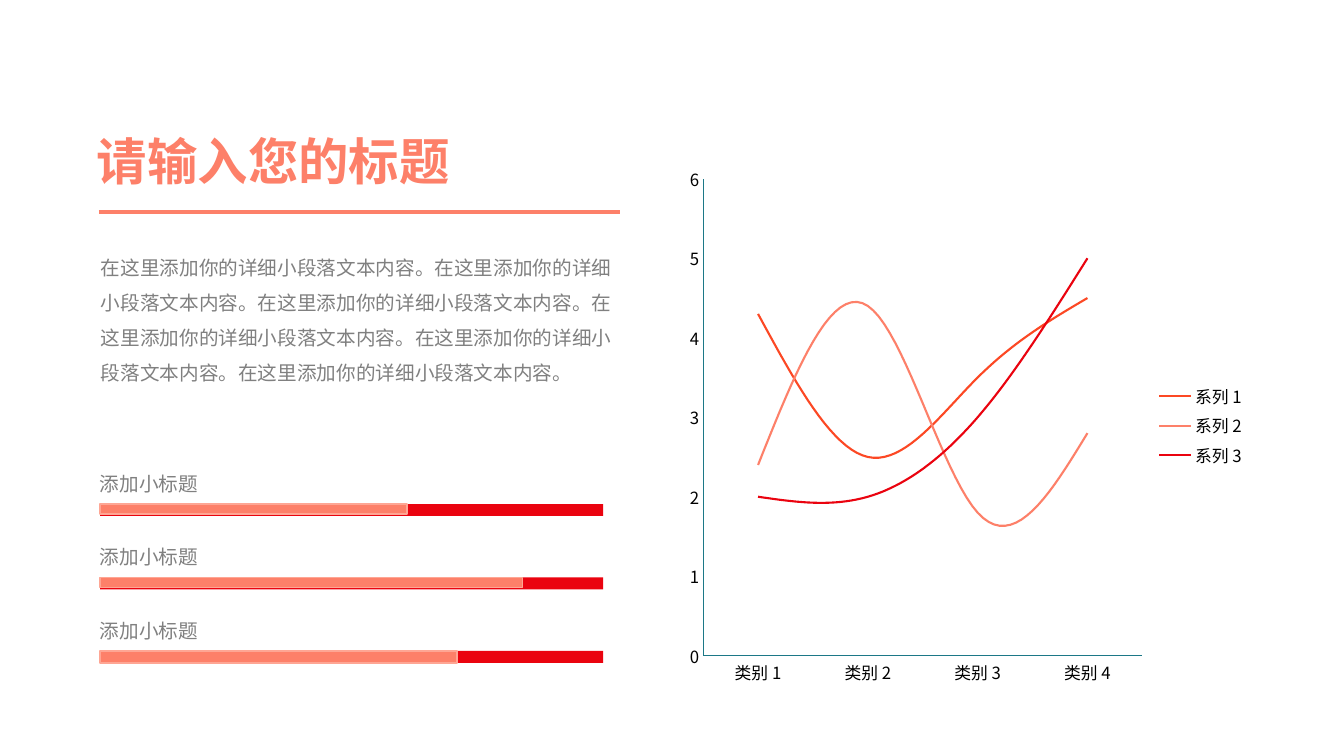
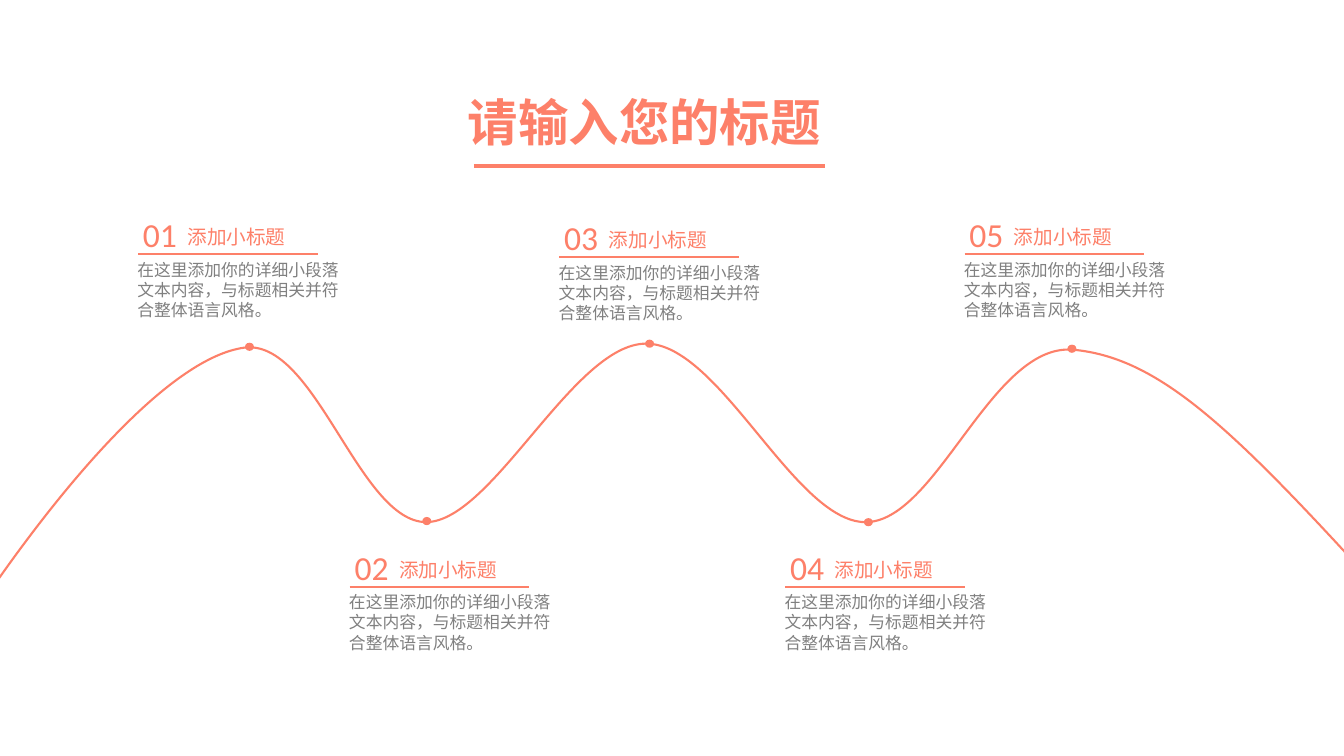
from lxml import etree
from pptx import Presentation
from pptx.chart.data import CategoryChartData
from pptx.dml.color import RGBColor
from pptx.enum.chart import XL_CHART_TYPE, XL_LEGEND_POSITION, XL_TICK_MARK
from pptx.enum.shapes import MSO_CONNECTOR, MSO_SHAPE
from pptx.enum.text import MSO_ANCHOR, MSO_AUTO_SIZE, PP_ALIGN
from pptx.oxml.ns import qn
from pptx.util import Pt

LINE = XL_CHART_TYPE.LINE
RIGHT = XL_LEGEND_POSITION.RIGHT
NONE = XL_TICK_MARK.NONE
STRAIGHT = MSO_CONNECTOR.STRAIGHT
RECT, OVAL = MSO_SHAPE.RECTANGLE, MSO_SHAPE.OVAL
TOP, FIXED = MSO_ANCHOR.TOP, MSO_AUTO_SIZE.NONE
LEFT, CENTER = PP_ALIGN.LEFT, PP_ALIGN.CENTER

CORAL, RED, FLAME = "FD8069", "EA030F", "FC4824"
PALE, GREY, TEAL, BLACK = "FEA694", "808080", "1C7887", "000000"
HAN = "Noto Sans CJK SC"
HEAD = {"name": HAN, "size": Pt(36), "bold": True}
TEXT = {"name": "Arial", "size": Pt(14)}
SMALL = {"name": "Arial", "size": Pt(12)}
DIGIT = {"name": "Calibri", "size": Pt(24)}
CHART = {"name": HAN, "size": Pt(12)}

TITLE = "请输入您的标题"
LABEL = "添加小标题"
BODY = "在这里添加你的详细小段落文本内容。" * 6
NOTE = "在这里添加你的详细小段落文本内容，与标题相关并符合整体语言风格。"

CATS = [f"类别 {n}" for n in range(1, 5)]
SERIES = [
    ("系列 1", (4.3, 2.5, 3.5, 4.5), FLAME),
    ("系列 2", (2.4, 4.4, 1.8, 2.8), CORAL),
    ("系列 3", (2, 2, 3, 5), RED),
]
BARS = [(0.61, 7.2), (0.84, 7.2), (0.71, 8.6)]
STEPS = [(98.6, 181.4), (249.8, 419), (399.6, 183.6), (560.9, 419), (689, 181.4)]
DOTS = [(178.2, 247.7), (304.9, 372.2), (464, 245.5), (620.3, 373), (765.7, 249.1)]
WAVE = [
    (-2.9, 416.2),
    (51.1, 339.1), (123.1, 255.6), (174.2, 248.4),
    (225.4, 241.2), (256.3, 373), (304.6, 373),
    (352.1, 372.2), (409.7, 245.5), (461.5, 245.5),
    (514.1, 245.5), (567.4, 372.2), (617.8, 373),
    (668.9, 373.7), (707.8, 245.5), (766.1, 249.8),
    (824.4, 254.9), (874.1, 300.2), (966.2, 400.3),
]


def rgb(code):
    """Turn a hex string into a colour."""
    return RGBColor.from_string(code)


def pts(box):
    """Turn numbers into points."""
    return [Pt(n) for n in box]


def style(font, form, color):
    """Apply format values and a colour to a font."""
    for key, value in form.items():
        setattr(font, key, value)
    font.color.rgb = rgb(color)


def east(root):
    """Name the East Asian font beside each Latin one."""
    for latin in list(root.iter(qn("a:latin"))):
        face = etree.Element(qn("a:ea"))
        face.set("typeface", HAN)
        latin.addnext(face)


def write(shape, words, form, color, align=LEFT, lead=None):
    """Fill a shape with one styled paragraph."""
    frame = shape.text_frame
    values = {"word_wrap": True, "auto_size": FIXED, "vertical_anchor": TOP}
    for key, value in values.items():
        setattr(frame, key, value)
    para = frame.paragraphs[0]
    para.alignment, para.line_spacing = align, lead
    run = para.add_run()
    run.text = words
    style(run.font, form, color)
    east(para._p)


def text(slide, box, *args, **more):
    """Add a text box."""
    write(slide.shapes.add_textbox(*pts(box)), *args, **more)


def block(slide, kind, box, color, edge=None):
    """Add a filled shape with an optional outline."""
    shape = slide.shapes.add_shape(kind, *pts(box))
    shape.shadow.inherit = False
    shape.fill.solid()
    shape.fill.fore_color.rgb = rgb(color)
    if edge:
        stroke(shape.line, edge, 1)
    else:
        shape.line.fill.background()


def stroke(line, color, width):
    """Set the colour and width of a line."""
    line.color.rgb = rgb(color)
    line.width = Pt(width)


def rule(slide, left, top, wide, width):
    """Draw a level coral line."""
    line = slide.shapes.add_connector(STRAIGHT, *pts((left, top, left + wide, top)))
    stroke(line.line, CORAL, width)
    etree.SubElement(line._element.spPr, qn("a:effectLst"))


def head(deck, box, shift, drop, wide):
    """Add a slide with a title and the rule beneath it."""
    slide = deck.slides.add_slide(deck.slide_layouts[5])
    title = slide.shapes.title
    title.left, title.top, title.width, title.height = pts(box)
    write(title, TITLE, HEAD, CORAL)
    rule(slide, box[0] + shift, box[1] + drop, wide, 3)
    return slide


def plot(slide, box):
    """Add the smooth line chart."""
    data = CategoryChartData()
    data.categories = CATS
    for name, values, _ in SERIES:
        data.add_series(name, values)
    chart = slide.shapes.add_chart(LINE, *pts(box), data).chart
    style(chart.font, CHART, BLACK)
    east(chart._chartSpace)
    chart.has_title = False
    chart.has_legend = True
    chart.legend.position = RIGHT
    chart.legend.include_in_layout = False
    chart.plots[0].vary_by_categories = False
    for axis in (chart.category_axis, chart.value_axis):
        axis.has_major_gridlines = False
        axis.major_tick_mark = axis.minor_tick_mark = NONE
        stroke(axis.format.line, TEAL, 0.5)
    scale = chart.value_axis
    scale.minimum_scale, scale.maximum_scale, scale.major_unit = 0, 6, 1
    for line, (_, _, color) in zip(chart.plots[0].series, SERIES):
        line.smooth = True
        stroke(line.format.line, color, 1.5)


def bar(slide, left, top, share, high):
    """Draw a labelled progress bar."""
    wide = 359.3
    block(slide, RECT, (left, top, wide, 8.6), RED)
    text(slide, (left - 7.2, top - 26.6, 129, 24.5), LABEL, TEXT, GREY)
    block(slide, RECT, (left, top, wide * share, high), CORAL, PALE)


def wave(slide):
    """Draw the curve through its control points."""
    start, *rest = [pts(spot) for spot in WAVE]
    pen = slide.shapes.build_freeform(*start)
    pen.add_line_segments(rest, close=False)
    shape = pen.convert_to_shape()
    shape.shadow.inherit = False
    shape.fill.background()
    stroke(shape.line, CORAL, 1.5)
    legs = list(shape._element.iter(qn("a:lnTo")))
    for n in range(0, len(legs), 3):
        curve = etree.Element(qn("a:cubicBezTo"))
        legs[n].addprevious(curve)
        for leg in legs[n:n + 3]:
            curve.append(leg[0])
            leg.getparent().remove(leg)


def step(slide, num, left, top):
    """Add a numbered note around its rule."""
    text(slide, (left - 17.9, top - 31.9, 67, 36), f"{num:02}", DIGIT, CORAL, align=CENTER)
    rule(slide, left, top, 128.2, 1.5)
    text(slide, (left - 7.6, top + 0.3, 164.2, 51), NOTE, SMALL, GREY)
    text(slide, (left + 28.2, top - 24.2, 93, 24.5), LABEL, TEXT, CORAL)


def trend(deck):
    """Build the slide with the chart and bars."""
    slide = head(deck, (62, 89.3, 413, 51), 8.6, 61.9, 372.2)
    plot(slide, (484.5, 111, 412.5, 386))
    text(slide, (65, 170.5, 384.5, 132), BODY, TEXT, GREY, lead=1.5)
    for n, (share, high) in enumerate(BARS):
        bar(slide, 71.5, 360 + n * 52.5, share, high)


def route(deck):
    """Build the slide with the five steps along a curve."""
    slide = head(deck, (327, 61.2, 286, 51), 11.4, 57.6, 250.6)
    wave(slide)
    for x, y in DOTS:
        block(slide, OVAL, (x - 3.2, y - 2.9, 6.4, 5.8), CORAL)
    for num, spot in enumerate(STEPS, 1):
        step(slide, num, *spot)


def main():
    """Build and save the deck."""
    deck = Presentation()
    deck.slide_width, deck.slide_height = Pt(960), Pt(540)
    trend(deck)
    route(deck)
    deck.save("out.pptx")


if __name__ == "__main__":
    main()
